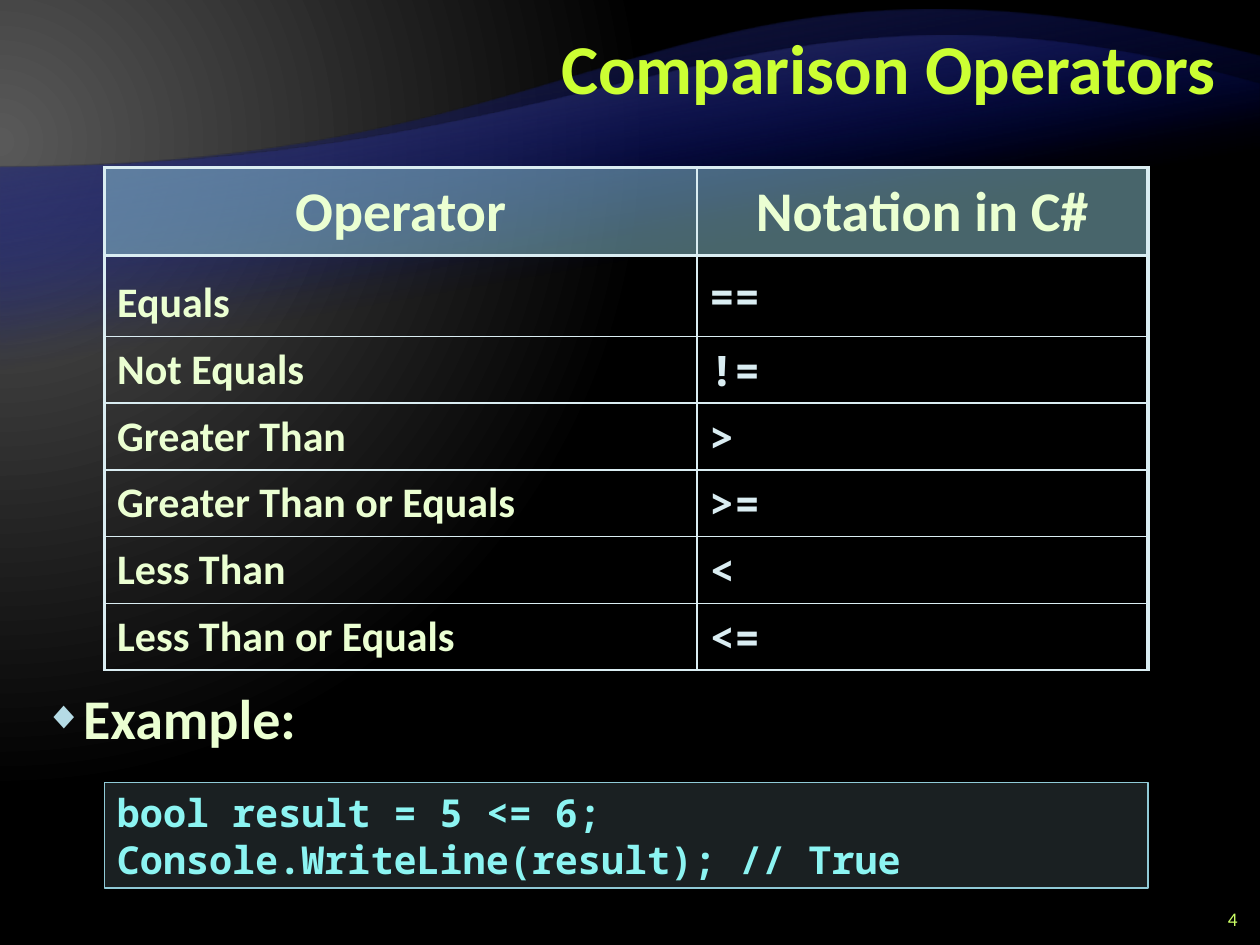
from pptx import Presentation
from pptx.dml.color import RGBColor
from pptx.enum.shapes import MSO_SHAPE
from pptx.enum.text import MSO_ANCHOR, PP_ALIGN
from pptx.oxml import parse_xml
from pptx.oxml.ns import nsdecls, qn
from pptx.util import Inches, Pt

RECT = MSO_SHAPE.RECTANGLE
MID, TOP = MSO_ANCHOR.MIDDLE, MSO_ANCHOR.TOP
LEFT, MIDDLE, RIGHT = PP_ALIGN.LEFT, PP_ALIGN.CENTER, PP_ALIGN.RIGHT
SANS, MONO = "Calibri", "Noto Sans Mono"

# Content
TITLE = "Comparison Operators"
HEAD = ("Operator", "Notation in C#")
OPS = [
    ("Equals", "=="),
    ("Not Equals", "!="),
    ("Greater Than", ">"),
    ("Greater Than or Equals", ">="),
    ("Less Than", "<"),
    ("Less Than or Equals", "<="),
]
LABEL = "Example:"
CODE = "bool result = 5 <= 6;\nConsole.WriteLine(result); // True"
NUMBER = "4"

HEX = {
    "title": "CCFF33", "number": "CCFF66", "text": "EBFFD2",
    "sign": "DAEDF2", "rule": "DAEDF2", "head": "90CAD7",
    "bullet": "B5DBE5", "code": "8CF4F2", "edge": "90CAD7",
    "glow": "595959", "night": "000000", "blue": "000D9E", "dusk": "262626",
}
# Each wave: bottom, four curve points, top colour
WAVES = [
    (6.53, [(0, 1.33), (5, 1.33), (5.34, -0.75), (10, 0.45)], "dusk"),
    (5.57, [(0, 1.33), (5, 1.33), (5.98, -0.49), (10, 0.67)], "glow"),
]
COLS = [4.7, 3.58]
ROWS = [0.7, 0.64] + [0.53] * 5


def color(name):
    return RGBColor.from_string(HEX[name])


def box(shape, *place):
    shape.left, shape.top, shape.width, shape.height = map(Inches, place)


def write(frame, text, size, font, name, bold=True, align=LEFT, anchor=MID, gap=None):
    frame.text = text
    frame.word_wrap = True
    frame.vertical_anchor = anchor
    for para in frame.paragraphs:
        para.alignment = align
        if gap:
            para.line_spacing = gap
        for run in para.runs:
            run.font.size, run.font.name, run.font.bold = Pt(size), font, bold
            run.font.color.rgb = color(name)


def fade(part, alpha):
    """Set the opacity, in percent, of the first solid fill in part."""
    tone = part.find(".//" + qn("a:srgbClr"))
    tone.append(parse_xml(f'<a:alpha {nsdecls("a")} val="{alpha * 1000}"/>'))


def blend(part, stops, way):
    """Swap the solid fill in part for a gradient of (place, name, alpha)."""
    marks = "".join(
        f'<a:gs pos="{at * 1000}"><a:srgbClr val="{HEX[name]}">'
        f'<a:alpha val="{alpha * 1000}"/></a:srgbClr></a:gs>'
        for at, name, alpha in stops)
    old = part.find(".//" + qn("a:solidFill"))
    old.getparent().replace(old, parse_xml(
        f'<a:gradFill {nsdecls("a")} rotWithShape="1">'
        f'<a:gsLst>{marks}</a:gsLst>{way}</a:gradFill>'))


def curve(points, steps=60):
    """Points along a cubic curve."""
    for i in range(steps + 1):
        t = i / steps
        parts = ((1 - t) ** 3, 3 * t * (1 - t) ** 2, 3 * t * t * (1 - t), t ** 3)
        yield tuple(Inches(sum(w * p[k] for w, p in zip(parts, points))) for k in (0, 1))


def border(cell, widths):
    """Draw the left, right, top and bottom rules of a cell."""
    props = cell._tc.get_or_add_tcPr()
    for i, (side, wide) in enumerate(zip("LRTB", widths)):
        props.insert(i, parse_xml(
            f'<a:ln{side} {nsdecls("a")} w="{Pt(wide)}"><a:solidFill>'
            f'<a:srgbClr val="{HEX["rule"]}"/></a:solidFill></a:ln{side}>'))


deck = Presentation()
deck.slide_width, deck.slide_height = Inches(10), Inches(7.5)
slide = deck.slides.add_slide(deck.slide_layouts[1])
shapes = slide.shapes

# Background glow
slide.background.fill.solid()
blend(slide.background._cSld.bg, [(0, "glow", 100), (83, "night", 100)],
      '<a:path path="circle"><a:fillToRect l="20000" t="30000" r="135000" b="100000"/></a:path>')

# Waves, behind everything else
for i, (low, points, name) in enumerate(WAVES):
    pen = shapes.build_freeform(Inches(10), Inches(low))
    pen.add_line_segments([(Inches(0), Inches(low)), *curve(points)], close=True)
    wave = pen.convert_to_shape()
    wave.shadow.inherit = False
    wave.line.fill.background()
    wave.fill.solid()
    blend(wave._element.spPr, [(65, "blue", 0), (100, name, 100)],
          '<a:lin ang="15600000" scaled="0"/>')
    shapes._spTree.insert(2 + i, wave._element)

# Title and slide number
title, body = shapes.title, slide.placeholders[1]
box(title, 2, 0.08, 7.75, 1)
write(title.text_frame, TITLE, 40, SANS, "title", align=RIGHT, gap=Pt(40))
page = shapes.add_textbox(*map(Inches, (9.42, 7.17, 0.5, 0.25)))
write(page.text_frame, NUMBER, 11, SANS, "number", bold=False, align=RIGHT)

# Operator table
grid = shapes.add_table(len(ROWS), len(COLS), *map(Inches, (0.83, 1.33, sum(COLS), sum(ROWS)))).table
for col, wide in zip(grid.columns, COLS):
    col.width = Inches(wide)
for row, tall in zip(grid.rows, ROWS):
    row.height = Inches(tall)
for r, texts in enumerate([HEAD, *OPS]):
    for c, text in enumerate(texts):
        cell = grid.cell(r, c)
        cell.vertical_anchor = MID
        if r == 0:
            cell.fill.solid()
            cell.fill.fore_color.rgb = color("head")
            fade(cell._tc.tcPr, 50)
            write(cell.text_frame, text, 32, SANS, "text", align=MIDDLE, gap=0.95)
        else:
            cell.fill.background()
            font, name = (MONO, "sign") if c else (SANS, "text")
            gap = Pt(38) if (r, c) == (1, 0) else 0.95
            write(cell.text_frame, text, 24, font, name, gap=gap)
        border(cell, (1 if c else 2.25, 2.25 if c else 1,
                      2.25 if r < 2 else 1, 2.25 if r == 0 else 1))

# Example label
box(body, 0.25, 5.38, 9.5, 0.75)
write(body.text_frame, LABEL, 32, SANS, "text", anchor=TOP, gap=Pt(38))
para = body.text_frame.paragraphs[0]
para.space_before = para.space_after = Pt(6)
props = para._p.get_or_add_pPr()
props.set("marL", str(Inches(0.31)))
props.set("indent", str(Inches(-0.31)))
for mark in (f'<a:buClr {nsdecls("a")}><a:srgbClr val="{HEX["bullet"]}"/></a:buClr>',
             f'<a:buSzPct {nsdecls("a")} val="70000"/>',
             f'<a:buChar {nsdecls("a")} char="◆"/>'):
    props.append(parse_xml(mark))

# Code panel
panel = shapes.add_shape(RECT, *map(Inches, (0.83, 6.21, sum(COLS), 0.84)))
panel.shadow.inherit = False
panel.fill.solid()
panel.fill.fore_color.rgb = color("bullet")
fade(panel._element.spPr, 15)
panel.line.color.rgb = color("edge")
panel.line.width = Pt(1)
write(panel.text_frame, CODE, 22, MONO, "code", gap=Pt(26.5))

deck.save("out.pptx")
